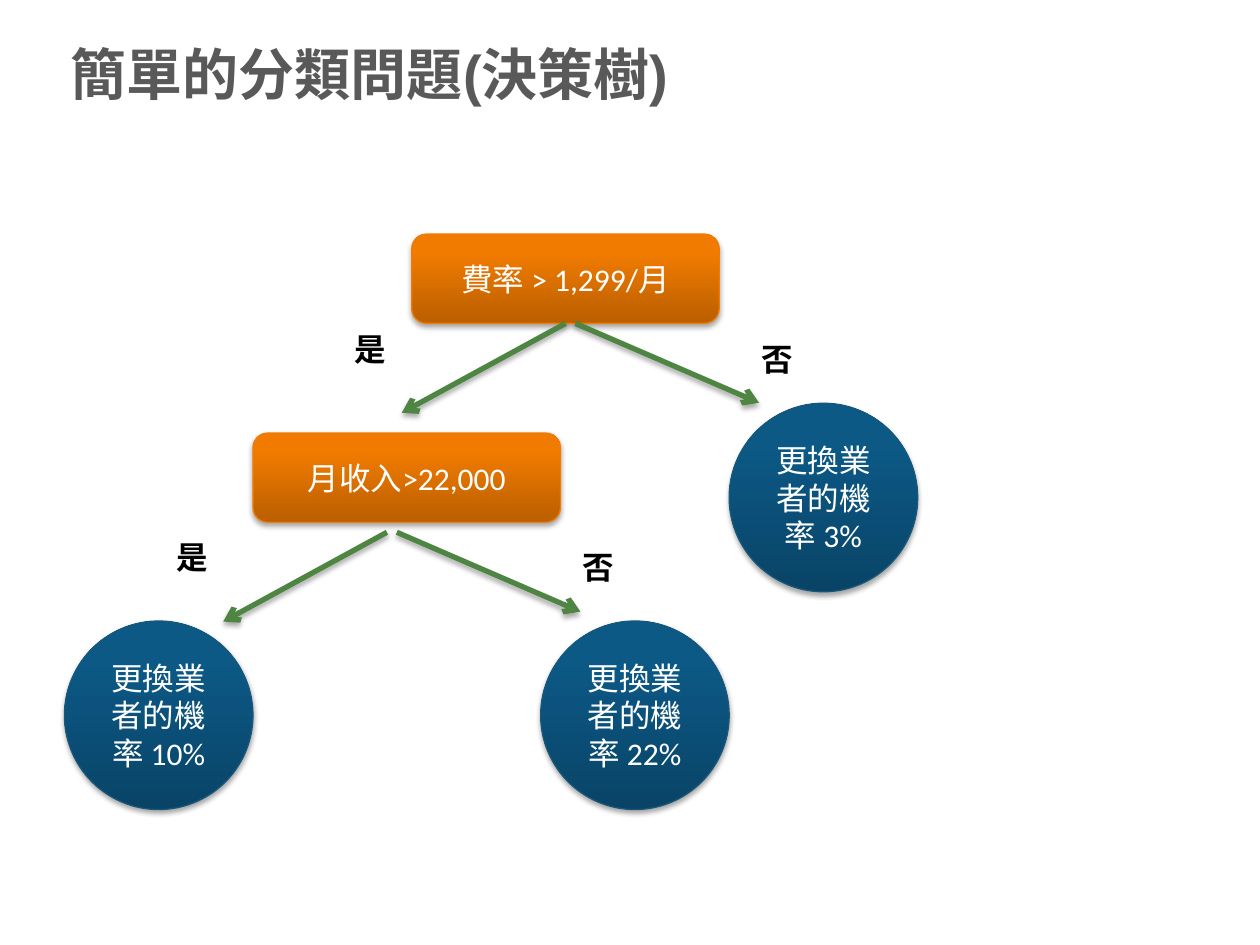
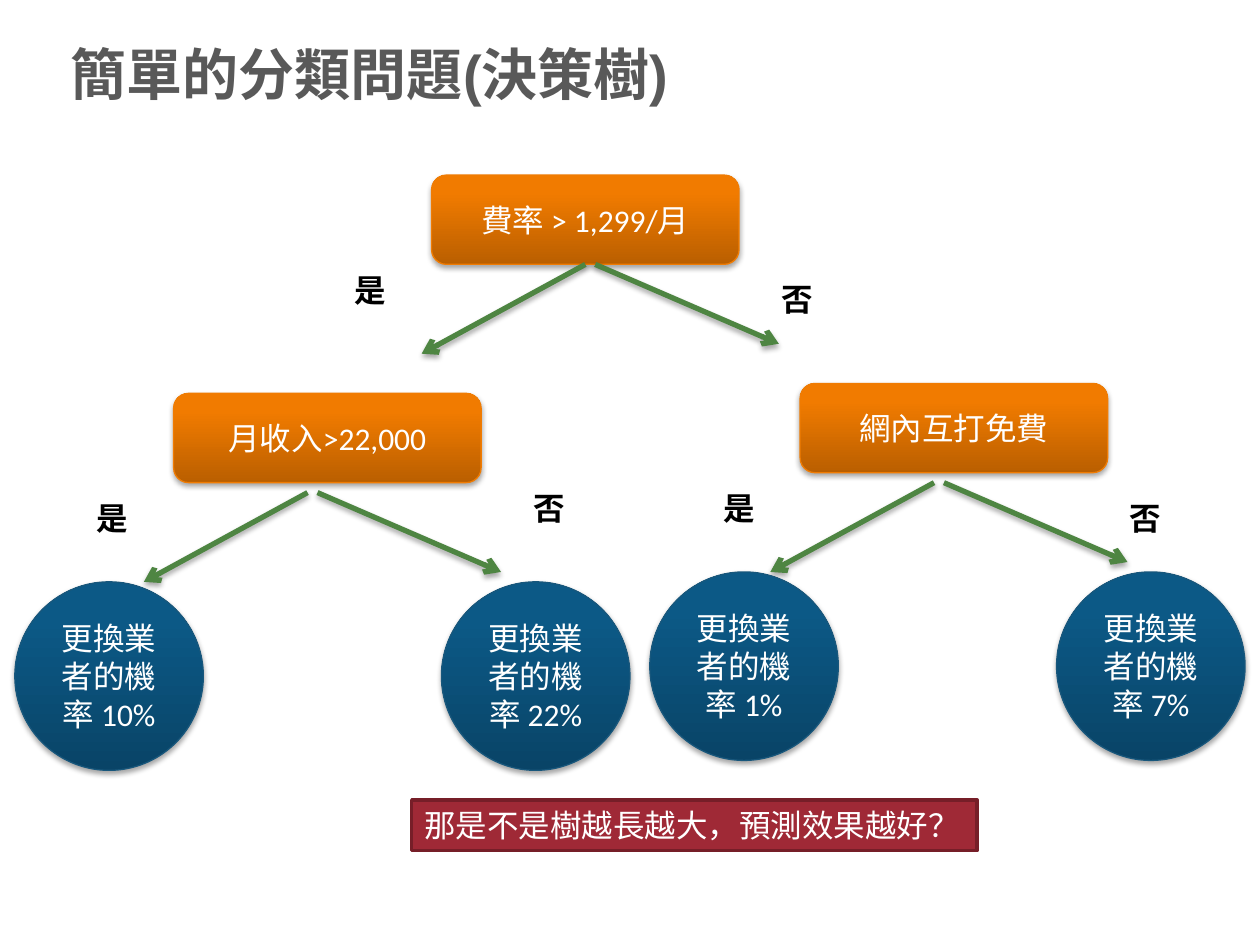
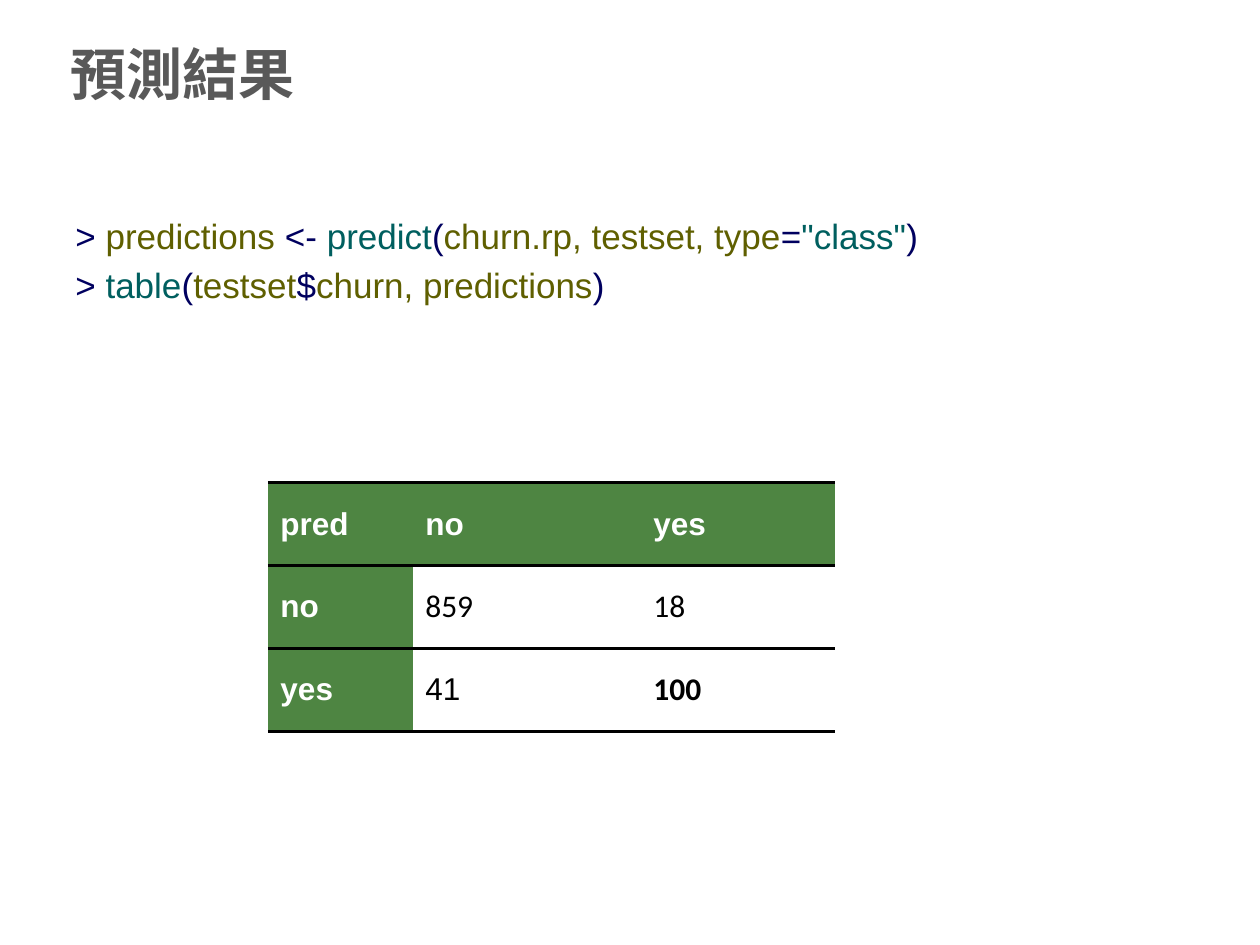
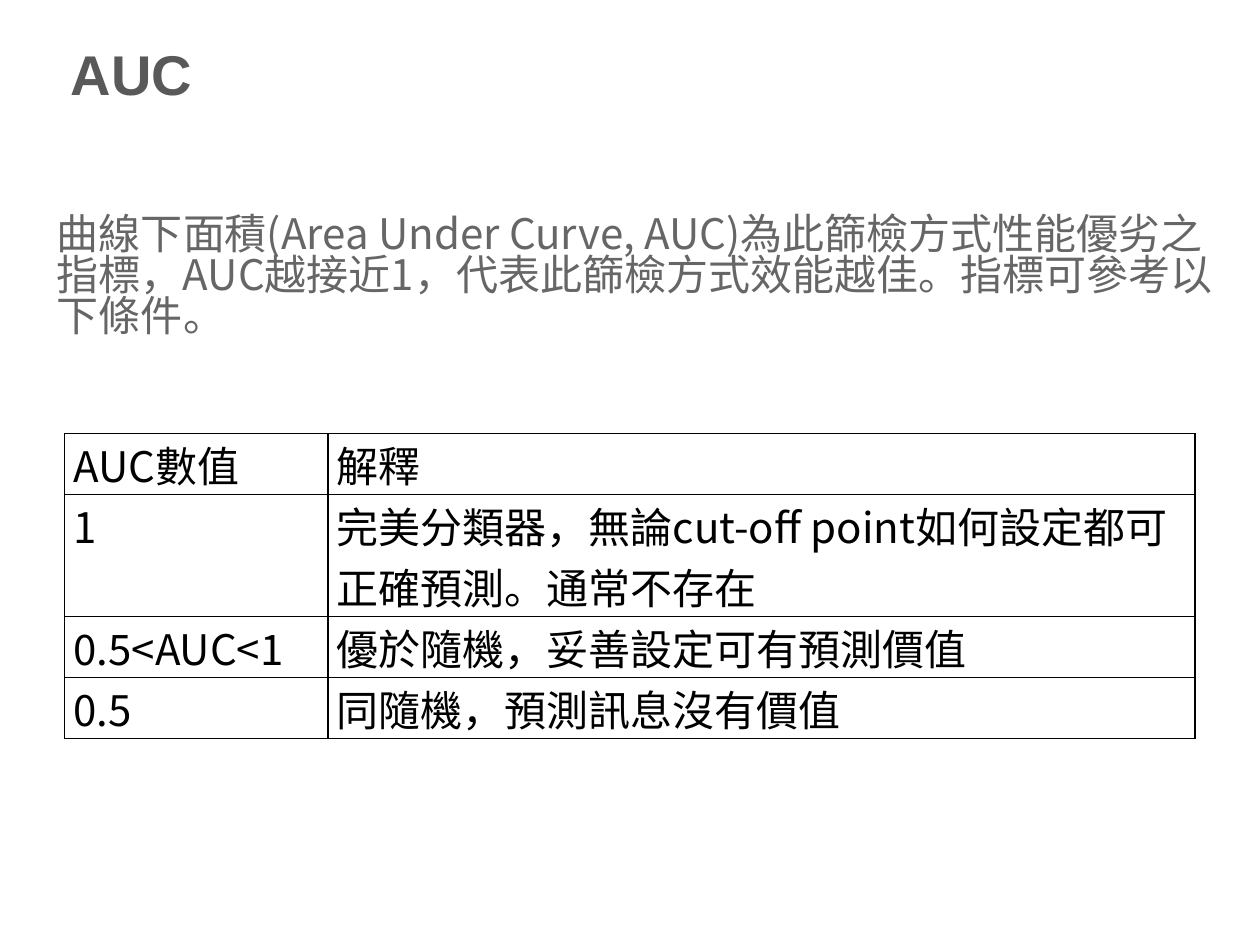
import copy

import pptx
import pptx.dml.color
import pptx.enum.dml
import pptx.enum.shapes
import pptx.enum.text
import pptx.oxml
import pptx.oxml.ns
import pptx.util
from lxml import etree
from pptx.dml.color import RGBColor
from pptx.enum.shapes import MSO_SHAPE
from pptx.enum.text import MSO_ANCHOR, MSO_AUTO_SIZE, PP_ALIGN
from pptx.oxml.ns import qn
from pptx.util import Cm, Pt

BLACK = RGBColor(0x00, 0x00, 0x00)
WHITE = RGBColor(0xFF, 0xFF, 0xFF)
TITLE_GREY = RGBColor(0x59, 0x59, 0x59)
BODY_GREY = RGBColor(0x66, 0x66, 0x66)
GREEN = RGBColor(0x4E, 0x85, 0x42)
RED = RGBColor(0x9F, 0x29, 0x36)
DARK_RED = RGBColor(0x76, 0x1E, 0x28)
ORANGE_LINE = RGBColor(0xF0, 0x7C, 0x03)
ORANGES = (RGBColor(0xBA, 0x5F, 0x00), RGBColor(0xF1, 0x7B, 0x00), RGBColor(0xF2, 0x7C, 0x00))
BLUE_LINE = RGBColor(0x18, 0x57, 0x7C)
BLUES = (RGBColor(0x09, 0x44, 0x67), RGBColor(0x0C, 0x59, 0x86), RGBColor(0x0A, 0x5A, 0x89))
CODE_NAVY = RGBColor(0x00, 0x00, 0x5F)
CODE_OLIVE = RGBColor(0x5F, 0x5F, 0x00)
CODE_TEAL = RGBColor(0x00, 0x5F, 0x5F)

ARIAL = "Arial"
CALIBRI = "Calibri"
NOTO = "Noto Sans CJK SC"
PLAIN_TABLE = "{2D5ABB26-0587-4C30-8999-92F81FD0307C}"
SHADOW = (
    '<a:effectLst xmlns:a="http://schemas.openxmlformats.org/drawingml/2006/main">'
    '<a:outerShdw blurRad="40000" dist="23000" dir="5400000" rotWithShape="0">'
    '<a:srgbClr val="000000"><a:alpha val="35000"/></a:srgbClr>'
    '</a:outerShdw></a:effectLst>'
)

TREE_TITLE = "簡單的分類問題(決策樹)"
RATE = "費率 > 1,299/月"
INCOME = "月收入>22,000"
NODE_W, NODE_H = 6.2, 1.8
LEAF_D = 3.8


def style_run(r, size, font, color, bold=False):
    r.font.size = Pt(size)
    r.font.name = font
    r.font.bold = bold
    r.font.color.rgb = color
    if font == NOTO:
        etree.SubElement(r.font._element, qn("a:ea"), typeface=font)


def set_text(tf, text, size, font, color, bold=False):
    tf.text = text
    p = tf.paragraphs[0]
    style_run(p.runs[0], size, font, color, bold)
    return p


def add_slide(prs, title):
    s = prs.slides.add_slide(prs.slide_layouts[5])
    sp = s.shapes.title
    sp.left, sp.top, sp.width, sp.height = Cm(1.17), Cm(0.7), Cm(22.86), Cm(1.56)
    tf = sp.text_frame
    p = set_text(tf, title, 32, ARIAL, TITLE_GREY, True)
    p.alignment = PP_ALIGN.LEFT
    tf.vertical_anchor = MSO_ANCHOR.MIDDLE
    tf.auto_size = MSO_AUTO_SIZE.NONE
    return s


def add_shadow(sp):
    sp._element.spPr.append(pptx.oxml.parse_xml(SHADOW))


def fill_gradient(sp, colors):
    sp.fill.gradient()
    sp.fill.gradient_angle = 90
    stops = sp._element.spPr.find(".//" + qn("a:gsLst"))
    stops.append(copy.deepcopy(stops[-1]))
    for stop, position, color in zip(sp.fill.gradient_stops, (0, 0.8, 1), colors):
        stop.position = position
        stop.color.rgb = color


def add_glossy(s, kind, x, y, w, h, text, colors, line):
    sp = s.shapes.add_shape(kind, Cm(x), Cm(y), Cm(w), Cm(h))
    fill_gradient(sp, colors)
    sp.line.color.rgb = line
    sp.line.width = Pt(0.75)
    add_shadow(sp)
    p = set_text(sp.text_frame, text, 18, CALIBRI, WHITE)
    p.alignment = PP_ALIGN.CENTER
    sp.text_frame.vertical_anchor = MSO_ANCHOR.MIDDLE


def add_node(s, x, y, text):
    add_glossy(s, MSO_SHAPE.FLOWCHART_ALTERNATE_PROCESS, x, y, NODE_W, NODE_H,
               text, ORANGES, ORANGE_LINE)


def add_leaf(s, x, y, chance):
    add_glossy(s, MSO_SHAPE.OVAL, x, y, LEAF_D, LEAF_D,
               f"更換業者的機率 {chance}", BLUES, BLUE_LINE)


def add_arrow(s, x1, y1, x2, y2):
    c = s.shapes.add_connector(pptx.enum.shapes.MSO_CONNECTOR.STRAIGHT,
                               Cm(x1), Cm(y1), Cm(x2), Cm(y2))
    c.line.color.rgb = GREEN
    c.line.width = Pt(3)
    etree.SubElement(c.line._get_or_add_ln(), qn("a:tailEnd"), type="arrow")
    add_shadow(c)


def add_label(s, x, y, text):
    sp = s.shapes.add_textbox(Cm(x), Cm(y), Cm(1.19), Cm(1.02))
    sp.text_frame.word_wrap = False
    sp.text_frame.auto_size = MSO_AUTO_SIZE.SHAPE_TO_FIT_TEXT
    set_text(sp.text_frame, text, 18, ARIAL, BLACK, True)


def add_fork(s, x, y, yes=(-4.5, 0), no=(3.7, 0.2)):
    add_arrow(s, x, y, x - 3.3, y + 1.8)
    add_arrow(s, x + 0.2, y, x + 3.9, y + 1.6)
    add_label(s, x + yes[0], y + yes[1], "是")
    add_label(s, x + no[0], y + no[1], "否")


def add_root(s, x, y, **labels):
    add_node(s, x, y, RATE)
    add_fork(s, x + NODE_W / 2, y + NODE_H, **labels)


def add_split(s, x, y, text, **labels):
    add_node(s, x, y, text)
    add_fork(s, x + 2.7, y + 2, **labels)


def add_question(s, x, y, text):
    sp = s.shapes.add_shape(MSO_SHAPE.RECTANGLE, Cm(x), Cm(y), Cm(11.4), Cm(1.02))
    sp.shadow.inherit = False
    sp.fill.solid()
    sp.fill.fore_color.rgb = RED
    sp.line.color.rgb = DARK_RED
    sp.line.width = Pt(2)
    tf = sp.text_frame
    tf.word_wrap = False
    tf.auto_size = MSO_AUTO_SIZE.SHAPE_TO_FIT_TEXT
    tf.vertical_anchor = MSO_ANCHOR.TOP
    p = set_text(tf, text, 18, CALIBRI, WHITE)
    p.alignment = PP_ALIGN.LEFT


def add_code(s, x, y, w, h, lines):
    tf = s.shapes.add_textbox(Cm(x), Cm(y), Cm(w), Cm(h)).text_frame
    tf.word_wrap = True
    for i, tokens in enumerate(lines):
        p = tf.add_paragraph() if i else tf.paragraphs[0]
        if i:
            p.space_before = Pt(4)
        for text, color in tokens:
            r = p.add_run()
            r.text = text
            style_run(r, 20, ARIAL, color)


def add_grid(s, x, y, widths, heights):
    frame = s.shapes.add_table(len(heights), len(widths), Cm(x), Cm(y),
                               Cm(sum(widths)), Cm(sum(heights)))
    table = frame.table
    table.first_row = table.horz_banding = False
    table._tbl.tblPr.find(qn("a:tableStyleId")).text = PLAIN_TABLE
    for column, w in zip(table.columns, widths):
        column.width = Cm(w)
    for row, h in zip(table.rows, heights):
        row.height = Cm(h)
    return table


def set_borders(cell, sides, width):
    tcPr = cell._tc.get_or_add_tcPr()
    for side in sides:
        ln = etree.SubElement(tcPr, qn(f"a:ln{side}"), w=str(Pt(width)))
        fill = etree.SubElement(ln, qn("a:solidFill"))
        etree.SubElement(fill, qn("a:srgbClr"), val=str(BLACK))


def add_confusion_table(s, x, y, rows):
    table = add_grid(s, x, y, (2.92, 4.6, 3.91), [1.67] * len(rows))
    for i, row in enumerate(rows):
        for j, text in enumerate(row):
            cell = table.cell(i, j)
            header = i == 0 or j == 0
            set_borders(cell, ("TB", "T", "B")[i], 2)
            cell.fill.solid()
            cell.fill.fore_color.rgb = GREEN if header else WHITE
            cell.vertical_anchor = MSO_ANCHOR.MIDDLE
            set_text(cell.text_frame, text, 18,
                     ARIAL if header or text == "41" else CALIBRI,
                     WHITE if header else BLACK, header or text == "100")


def add_auc_table(s, x, y, rows):
    table = add_grid(s, x, y, (5.31, 17.48), (1.23, 2.45, 1.23, 1.23))
    for i, row in enumerate(rows):
        for j, text in enumerate(row):
            cell = table.cell(i, j)
            set_borders(cell, "LRTB", 1)
            cell.fill.background()
            cell.margin_left = cell.margin_right = Cm(0.18)
            cell.margin_top = cell.margin_bottom = 0
            set_text(cell.text_frame, text, 24, NOTO, BLACK)


def add_paragraph_box(s, x, y, w, h, text):
    tf = s.shapes.add_textbox(Cm(x), Cm(y), Cm(w), Cm(h)).text_frame
    tf.word_wrap = True
    tf.auto_size = MSO_AUTO_SIZE.SHAPE_TO_FIT_TEXT
    tf.vertical_anchor = MSO_ANCHOR.MIDDLE
    p = set_text(tf, text, 24, NOTO, BODY_GREY)
    p.line_spacing = 0.82


def build_small_tree(prs):
    s = add_slide(prs, TREE_TITLE)
    add_root(s, 8.3, 4.72)
    add_split(s, 5.1, 8.73, INCOME)
    for x, y, chance in ((14.7, 8.13, "3%"), (1.3, 12.52, "10%"), (10.9, 12.52, "22%")):
        add_leaf(s, x, y, chance)


def build_large_tree(prs):
    s = add_slide(prs, TREE_TITLE)
    add_root(s, 8.7, 3.53, yes=(-4.9, 0))
    add_split(s, 3.5, 7.93, INCOME, no=(4.3, -0.2))
    add_split(s, 16.13, 7.73, "網內互打免費")
    for x, y, chance in ((0.3, 11.73, "10%"), (8.9, 11.73, "22%"),
                         (13.1, 11.53, "1%"), (21.3, 11.53, "7%")):
        add_leaf(s, x, y, chance)
    add_question(s, 8.3, 16.13, "那是不是樹越長越大，預測效果越好？")


def build_predictions(prs):
    s = add_slide(prs, "預測結果")
    add_code(s, 1.27, 4.2, 22.86, 12.8, (
        ((">", CODE_NAVY), (" predictions ", CODE_OLIVE), ("<-", CODE_NAVY),
         (" ", CODE_OLIVE), ("predict", CODE_TEAL), ("(", CODE_NAVY),
         ("churn.rp, testset, type", CODE_OLIVE), ("=", CODE_NAVY),
         ('"class"', CODE_TEAL), (")", CODE_NAVY)),
        ((">", CODE_NAVY), (" ", CODE_OLIVE), ("table", CODE_TEAL), ("(", CODE_NAVY),
         ("testset", CODE_OLIVE), ("$", CODE_NAVY),
         ("churn, predictions", CODE_OLIVE), (")", CODE_NAVY)),
    ))
    add_confusion_table(s, 5.4, 9.73, (
        ("pred", "no", "yes"),
        ("no", "859", "18"),
        ("yes", "41", "100"),
    ))


def build_auc(prs):
    s = add_slide(prs, "AUC")
    add_auc_table(s, 1.3, 8.74, (
        ("AUC數值", "解釋"),
        ("1", "完美分類器，無論cut-off point如何設定都可正確預測。通常不存在"),
        ("0.5<AUC<1", "優於隨機，妥善設定可有預測價值"),
        ("0.5", "同隨機，預測訊息沒有價值"),
    ))
    add_paragraph_box(s, 0.9, 3.94, 23.95, 3.33,
                      "曲線下面積(Area Under Curve, AUC)為此篩檢方式性能優劣之指標，"
                      "AUC越接近1，代表此篩檢方式效能越佳。指標可參考以下條件。")


def main():
    prs = pptx.Presentation()
    prs.slide_width, prs.slide_height = Cm(25.4), Cm(19.05)
    build_small_tree(prs)
    build_large_tree(prs)
    build_predictions(prs)
    build_auc(prs)
    prs.save("out.pptx")


if __name__ == "__main__":
    main()
